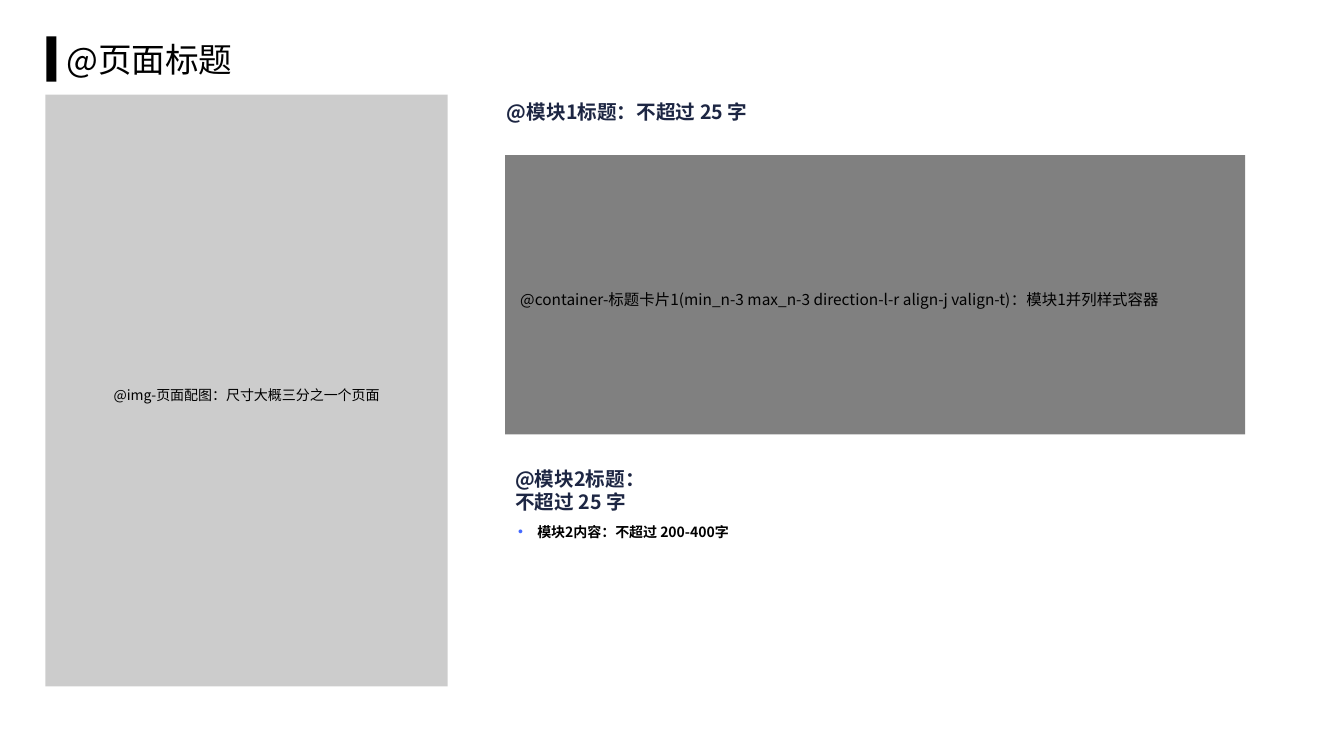
from dataclasses import dataclass

from lxml.etree import SubElement
from pptx import Presentation
from pptx.dml.color import RGBColor
from pptx.enum.shapes import MSO_SHAPE
from pptx.enum.text import MSO_ANCHOR, PP_ALIGN
from pptx.oxml.ns import qn
from pptx.util import Inches, Pt


@dataclass(frozen=True)
class Theme:
    font: str = "Noto Sans CJK SC"
    black: str = "000000"
    navy: str = "1D2643"
    blue: str = "4469FF"
    gray: str = "808080"
    title: int = 24
    head: int = 14
    card: int = 11
    body: int = 10


class Page:
    def __init__(self, slide, theme):
        self.slide = slide
        self.theme = theme

    def rect(self, box, color, alpha=None):
        """Draw a plain rectangle; alpha is its opacity in percent."""
        shape = self.slide.shapes.add_shape(MSO_SHAPE.RECTANGLE, *map(Inches, box))
        shape.shadow.inherit = False
        shape.fill.solid()
        shape.fill.fore_color.rgb = RGBColor.from_string(color)
        shape.line.fill.background()
        if alpha is not None:
            fill = shape._element.spPr.find(qn("a:solidFill"))
            SubElement(fill[0], qn("a:alpha"), val=str(alpha * 1000))
        return shape

    def text(self, shape, words, size, color=None, bold=False, align=PP_ALIGN.LEFT,
             anchor=MSO_ANCHOR.TOP, space=1.0, wrap=True):
        frame = shape.text_frame
        frame.word_wrap = wrap
        frame.vertical_anchor = anchor
        para = frame.paragraphs[0]
        para.alignment = align
        para.line_spacing = space
        run = para.add_run()
        run.text = words
        font = run.font
        font.name = self.theme.font
        font.size = Pt(size)
        font.bold = bold
        font.color.rgb = RGBColor.from_string(color or self.theme.black)
        SubElement(run._r.get_or_add_rPr(), qn("a:ea"), typeface=self.theme.font)
        return para

    def label(self, box, words, size, **style):
        shape = self.slide.shapes.add_textbox(*map(Inches, box))
        return self.text(shape, words, size, **style)

    def head(self, box, words):
        self.label(box, words, self.theme.head, color=self.theme.navy,
                   bold=True, wrap=False)

    def bullet(self, para):
        props = para._p.get_or_add_pPr()
        indent = Inches(0.19)
        props.set("marL", str(indent))
        props.set("indent", str(-indent))
        color = SubElement(props, qn("a:buClr"))
        SubElement(color, qn("a:srgbClr"), val=self.theme.blue)
        SubElement(props, qn("a:buFont"), typeface="Arial")
        SubElement(props, qn("a:buChar"), char="•")


def main():
    deck = Presentation()
    deck.slide_width = Inches(13.33)
    deck.slide_height = Inches(7.5)
    theme = Theme()
    page = Page(deck.slides.add_slide(deck.slide_layouts[6]), theme)

    page.rect((0.46, 0.36, 0.1, 0.45), theme.black)
    page.label((0.56, 0.28, 12.22, 0.61), "@页面标题", theme.title,
               anchor=MSO_ANCHOR.MIDDLE)

    page.head((4.93, 0.94, 6.37, 0.53), "@模块1标题：不超过 25 字")
    photo = page.rect((0.45, 0.94, 3.99, 5.87), theme.black, alpha=20)
    page.text(photo, "@img-页面配图：尺寸大概三分之一个页面", theme.body,
              align=PP_ALIGN.CENTER, anchor=MSO_ANCHOR.MIDDLE, space=1.5)

    page.head((5.01, 4.58, 1.52, 0.44), "@模块2标题：不超过 25 字")
    note = page.label((5.04, 5.06, 7.22, 1.8), "模块2内容：不超过 200-400字",
                      theme.body, bold=True, space=1.5)
    page.bullet(note)

    card = page.rect((5.01, 1.54, 7.34, 2.77), theme.gray)
    frame = card.text_frame
    frame.margin_left = frame.margin_right = Inches(0.15)
    frame.margin_top = frame.margin_bottom = Inches(0.15)
    page.text(card, "@container-标题卡片1(min_n-3 max_n-3 direction-l-r align-j valign-t)"
              "：模块1并列样式容器", theme.card, anchor=MSO_ANCHOR.MIDDLE, space=1.5)

    deck.save("out.pptx")


if __name__ == "__main__":
    main()
